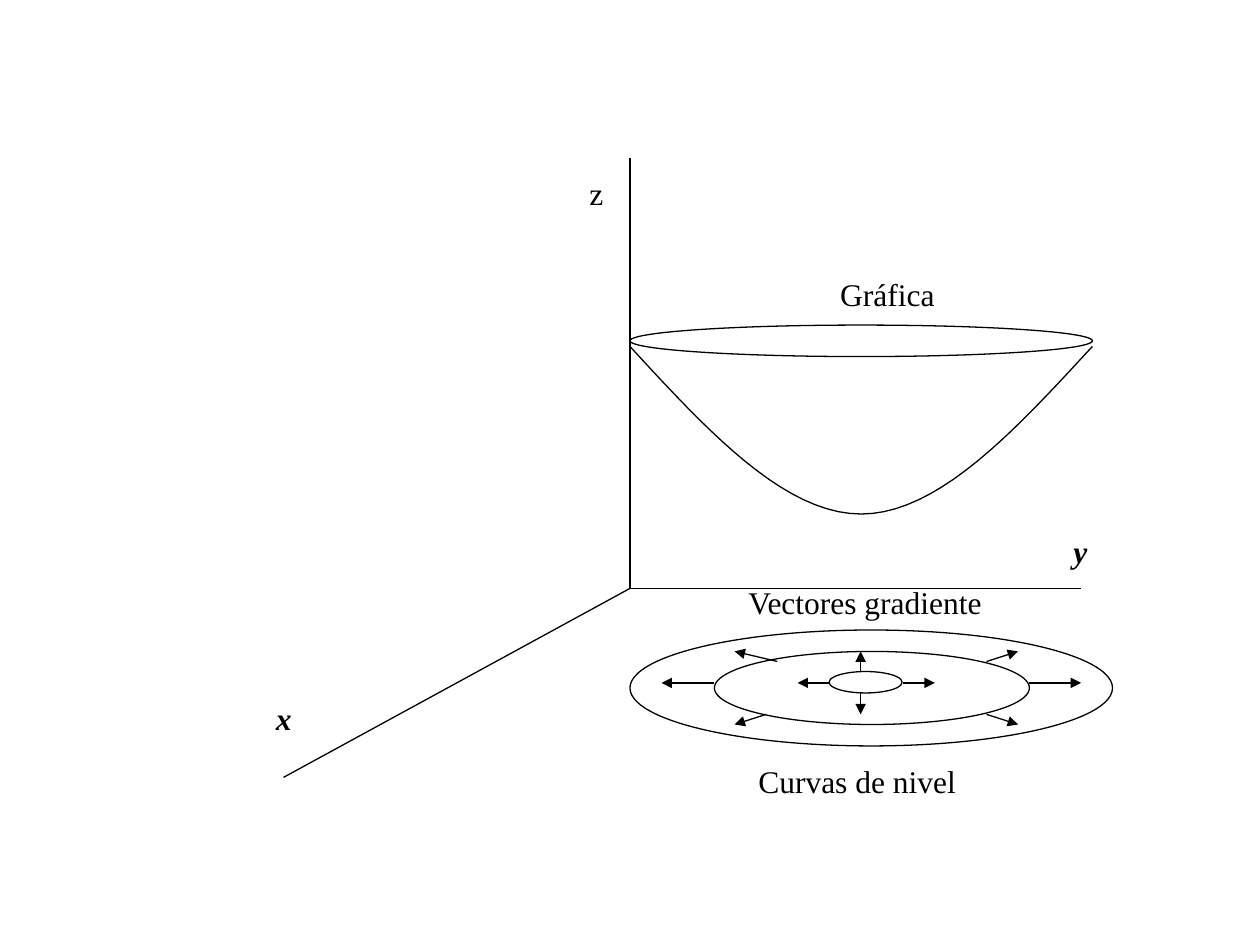
from dataclasses import dataclass

from lxml import etree
from pptx import Presentation
from pptx.dml.color import RGBColor
from pptx.enum.shapes import MSO_CONNECTOR, MSO_SHAPE
from pptx.enum.text import MSO_AUTO_SIZE
from pptx.oxml.ns import qn
from pptx.util import Inches, Pt

STRAIGHT = MSO_CONNECTOR.STRAIGHT
OVAL = MSO_SHAPE.OVAL
GROW = MSO_AUTO_SIZE.SHAPE_TO_FIT_TEXT
COLORS = {"ink": "000000"}
FONT = "Times New Roman"
CURVE_STEPS = 40


@dataclass
class Line:
    x1: float
    y1: float
    x2: float
    y2: float
    arrow: bool = True


@dataclass
class Ellipse:
    x: float
    y: float
    w: float
    h: float


@dataclass
class Label:
    text: str
    x: float
    y: float
    w: float
    strong: bool = False
    wrap: bool = False


AXES = [
    Line(5, 4.67, 2.25, 6.17, False),
    Line(5, 4.67, 8.58, 4.67, False),
    Line(5, 1.25, 5, 4.67, False),
]
RIM = Ellipse(5, 2.58, 3.67, 0.25)
LEVEL_CURVES = [
    Ellipse(5.67, 5.17, 2.5, 0.58),
    Ellipse(5, 5, 3.83, 0.92),
    Ellipse(6.58, 5.33, 0.58, 0.17),
]
GRADIENTS = [
    Line(7.17, 5.42, 7.42, 5.42),
    Line(6.83, 5.5, 6.83, 5.67),
    Line(6.58, 5.42, 6.33, 5.42),
    Line(6.83, 5.33, 6.83, 5.17),
    Line(5.67, 5.42, 5.25, 5.42),
    Line(6.08, 5.67, 5.83, 5.75),
    Line(7.83, 5.67, 8.08, 5.75),
    Line(7.83, 5.25, 8.08, 5.17),
    Line(6.17, 5.25, 5.83, 5.17),
    Line(8.17, 5.42, 8.58, 5.42),
]
LABELS = [
    Label("x", 2.09, 5.5, 0.32, strong=True),
    Label("y", 8.42, 4.17, 0.31, strong=True),
    Label("z", 4.58, 1.33, 0.42, wrap=True),
    Label("Gráfica", 6.57, 2.13, 0.95),
    Label("Curvas de nivel", 5.92, 6, 1.89),
    Label("Vectores gradiente", 5.84, 4.58, 2.08),
]


def ink() -> RGBColor:
    return RGBColor.from_string(COLORS["ink"])


def set_outline(sp) -> None:
    sp.line.color.rgb = ink()
    sp.line.width = Pt(0.75)


def draw_line(shapes, line: Line) -> None:
    sp = shapes.add_connector(STRAIGHT, Inches(line.x1), Inches(line.y1),
                              Inches(line.x2), Inches(line.y2))
    set_outline(sp)
    if line.arrow:
        etree.SubElement(sp.line._get_or_add_ln(), qn("a:tailEnd"), type="triangle")
    etree.SubElement(sp._element.spPr, qn("a:effectLst"))


def draw_ellipse(shapes, e: Ellipse) -> None:
    sp = shapes.add_shape(OVAL, Inches(e.x), Inches(e.y), Inches(e.w), Inches(e.h))
    sp.shadow.inherit = False
    sp.fill.background()
    set_outline(sp)


def draw_bowl(shapes, x: float, y: float, w: float, h: float) -> None:
    points = []
    for i in range(CURVE_STEPS + 1):
        t = 2 * i / CURVE_STEPS
        u = min(t, 2 - t)
        points.append((Inches(x + w * t / 2), Inches(y + h * (1.5 * u - 0.5 * u ** 3))))
    builder = shapes.build_freeform(*points[0])
    builder.add_line_segments(points[1:], close=False)
    sp = builder.convert_to_shape()
    sp.shadow.inherit = False
    sp.fill.background()
    set_outline(sp)


def draw_label(shapes, label: Label) -> None:
    sp = shapes.add_textbox(Inches(label.x), Inches(label.y),
                            Inches(label.w), Inches(0.4))
    tf = sp.text_frame
    tf.word_wrap = label.wrap
    tf.auto_size = GROW
    tf.text = label.text
    font = tf.paragraphs[0].runs[0].font
    font.name = FONT
    font.size = Pt(18)
    font.color.rgb = ink()
    if label.strong:
        font.bold = font.italic = True


def main() -> None:
    prs = Presentation()
    prs.slide_width, prs.slide_height = Inches(10), Inches(7.5)
    s = prs.slides.add_slide(prs.slide_layouts[6])

    for axis in AXES:
        draw_line(s.shapes, axis)

    surface = s.shapes.add_group_shape()
    draw_ellipse(surface.shapes, RIM)
    draw_bowl(surface.shapes, 5, 2.75, 3.67, 1.33)

    for curve in LEVEL_CURVES:
        draw_ellipse(s.shapes, curve)
    for gradient in GRADIENTS:
        draw_line(s.shapes, gradient)
    for label in LABELS:
        draw_label(s.shapes, label)

    prs.save("out.pptx")


if __name__ == "__main__":
    main()
